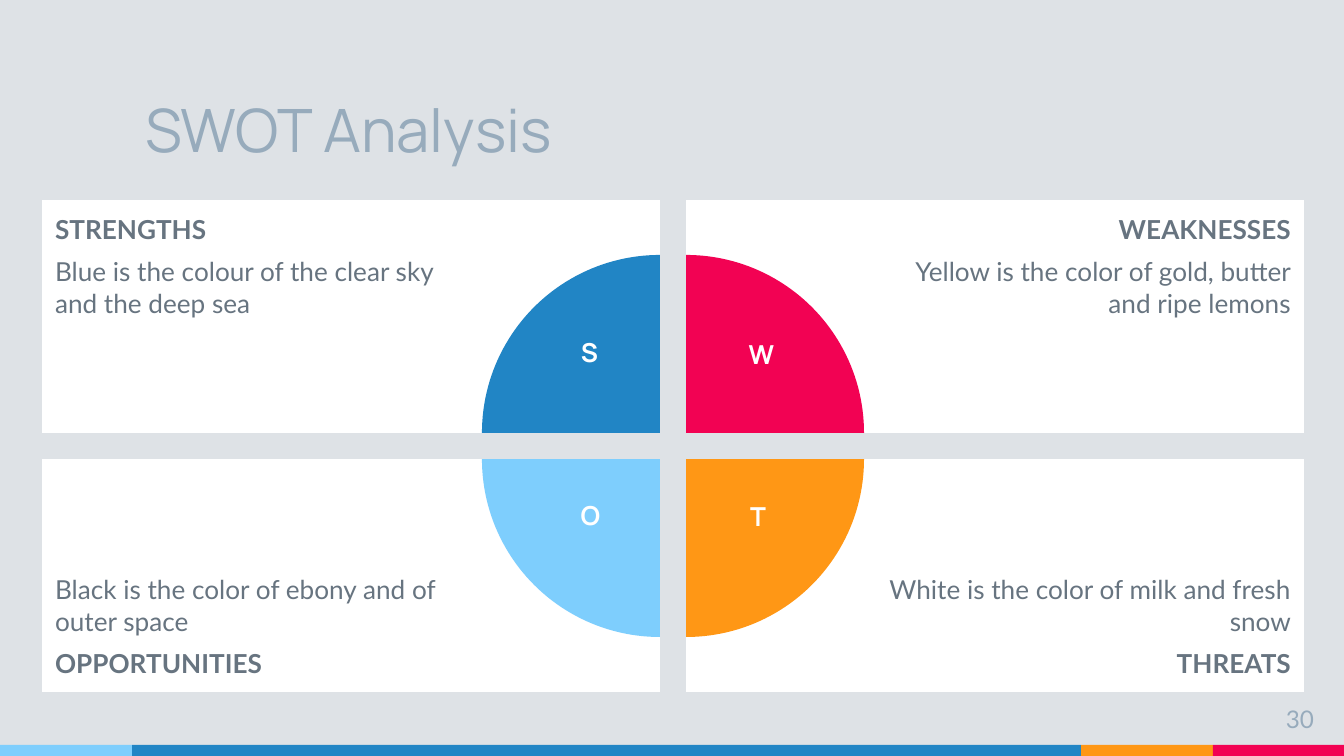
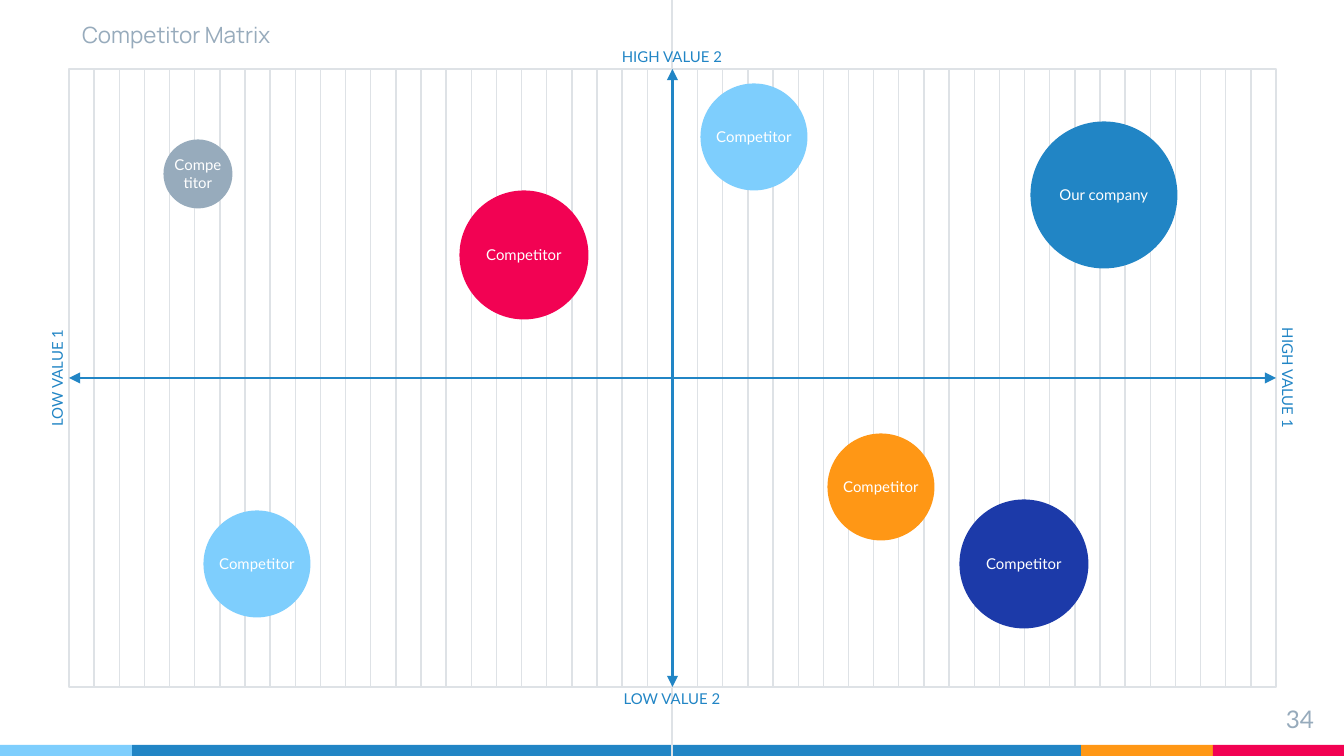
"""Build a SWOT analysis slide and a competitor matrix slide."""
import pptx
import pptx.dml.color
import pptx.enum.shapes
import pptx.enum.text
import pptx.oxml
import pptx.oxml.ns
import pptx.util

RGBColor = pptx.dml.color.RGBColor
SHAPE = pptx.enum.shapes.MSO_SHAPE
STRAIGHT = pptx.enum.shapes.MSO_CONNECTOR.STRAIGHT
ANCHOR = pptx.enum.text.MSO_ANCHOR
ALIGN = pptx.enum.text.PP_ALIGN
Pt = pptx.util.Pt

BLUE = RGBColor(0x21, 0x85, 0xC5)
SKY = RGBColor(0x7E, 0xCE, 0xFD)
ORANGE = RGBColor(0xFF, 0x97, 0x15)
RED = RGBColor(0xF2, 0x02, 0x53)
NAVY = RGBColor(0x1C, 0x3A, 0xA9)
STEEL = RGBColor(0x97, 0xAB, 0xBC)
SLATE = RGBColor(0x67, 0x74, 0x80)
MIST = RGBColor(0xDE, 0xE2, 0xE6)
WHITE = RGBColor(0xFF, 0xFF, 0xFF)

HEADING_FONT, BODY_FONT = "Manrope", "Lato"
WIDTH, HEIGHT = 1344, 756
PAD = 13

BANDS = [(SKY, 132), (BLUE, 949), (ORANGE, 132), (RED, 131)]
BAND_TOP = 745

SWOT_TITLE, SWOT_PAGE = "SWOT Analysis", "30"
QUADRANTS = [
    ("STRENGTHS", "Blue is the colour of the clear sky and the deep sea",
     0, 0, BLUE, 0, "S", (564, 329, 51, 66)),
    ("WEAKNESSES", "Yellow is the color of gold, butter and ripe lemons",
     1, 0, RED, 90, "W", (714, 331, 95, 65)),
    ("OPPORTUNITIES", "Black is the color of ebony and of outer space",
     0, 1, SKY, 270, "O", (559, 492, 63, 66)),
    ("THREATS", "White is the color of milk and fresh snow",
     1, 1, ORANGE, 180, "T", (731, 493, 54, 65)),
]
CARD_LEFT, CARD_TOP, CARD_WIDTH, CARD_HEIGHT, CARD_GAP = 42, 200, 618, 233, 26
CARD_INNER_PAD = 202
PIE_RADIUS = 178

MATRIX_TITLE, MATRIX_PAGE = "Competitor Matrix", "34"
FRAME = (69, 69, 1207, 618)
COLUMNS = 48
AXIS_LABELS = [
    ("LOW VALUE 1", 57, 378, 270),
    ("HIGH VALUE 1", 1288, 378, 90),
    ("LOW VALUE 2", 672, 699, 0),
    ("HIGH VALUE 2", 672, 57, 0),
]
LABEL_WIDTH, LABEL_HEIGHT = 190, 24
BUBBLES = [
    ("Our company", 1104, 195, 147, BLUE),
    ("Competitor", 524, 255, 129, RED),
    ("Competitor", 257, 564, 107, SKY),
    ("Competitor", 881, 487, 107, ORANGE),
    ("Competitor", 1024, 564, 129, NAVY),
    ("Competitor", 754, 137, 107, SKY),
    ("Competitor", 198, 174, 69, STEEL),
]


def px(*lengths):
    return [pptx.util.Emu(round(length * 914400 / 134.4)) for length in lengths]


def set_frame(frame, anchor, insets):
    frame.word_wrap = True
    frame.auto_size = pptx.enum.text.MSO_AUTO_SIZE.NONE
    frame.vertical_anchor = anchor
    (frame.margin_left, frame.margin_top,
     frame.margin_right, frame.margin_bottom) = px(*insets)


def style(paragraph, size, color, font=BODY_FONT, align=ALIGN.LEFT, bold=False):
    paragraph.alignment = align
    for run in paragraph.runs:
        run.font.name = font
        run.font.size = Pt(size)
        run.font.color.rgb = color
        run.font.bold = bold


def add_block(shapes, kind, box, fill, line=None):
    block = shapes.add_shape(kind, *px(*box))
    block.shadow.inherit = False
    block.fill.solid()
    block.fill.fore_color.rgb = fill
    if line is None:
        block.line.fill.background()
    else:
        block.line.color.rgb = line
        block.line.width = Pt(0.75)
    return block


def add_text(slide, text, box, insets, anchor=ANCHOR.TOP, **look):
    label = slide.shapes.add_textbox(*px(*box))
    set_frame(label.text_frame, anchor, insets)
    label.text_frame.text = text
    style(label.text_frame.paragraphs[0], **look)
    return label


def add_line(shapes, ends, color, weight, arrows=False):
    line = shapes.add_connector(STRAIGHT, *px(*ends))
    line.line.color.rgb = color
    line.line.width = Pt(weight)
    properties = line.element.spPr
    if arrows:
        for end in ("headEnd", "tailEnd"):
            properties.get_or_add_ln().append(pptx.oxml.parse_xml(
                f'<a:{end} {pptx.oxml.ns.nsdecls("a")} type="triangle"/>'))
    properties.append(pptx.oxml.parse_xml(
        f'<a:effectLst {pptx.oxml.ns.nsdecls("a")}/>'))
    return line


def add_slide(deck, background, title, title_box, title_size, anchor, page):
    slide = deck.slides.add_slide(deck.slide_layouts[5])
    slide.background.fill.solid()
    slide.background.fill.fore_color.rgb = background
    heading = slide.shapes.title
    heading.left, heading.top, heading.width, heading.height = px(*title_box)
    set_frame(heading.text_frame, anchor, [PAD] * 4)
    heading.text_frame.text = title
    style(heading.text_frame.paragraphs[0], title_size, STEEL, HEADING_FONT)
    add_text(slide, page, (1246, 691, 81, 46), [PAD] * 4,
             size=13, color=STEEL, align=ALIGN.RIGHT)
    return slide


def add_master_bands(deck, slide):
    left = 0
    for color, width in BANDS:
        band = add_block(slide.shapes, SHAPE.RECTANGLE,
                         (left, BAND_TOP, width, HEIGHT - BAND_TOP), color)
        deck.slide_master.shapes.element.append(band.element)
        left += width


def add_card(slide, name, description, column, row):
    left = CARD_LEFT + column * (CARD_WIDTH + CARD_GAP)
    top = CARD_TOP + row * (CARD_HEIGHT + CARD_GAP)
    card = add_block(slide.shapes, SHAPE.RECTANGLE,
                     (left, top, CARD_WIDTH, CARD_HEIGHT), WHITE)
    insets = [PAD, PAD, CARD_INNER_PAD, PAD]
    if column:
        insets = [CARD_INNER_PAD, PAD, PAD, PAD]
    set_frame(card.text_frame, ANCHOR.BOTTOM if row else ANCHOR.TOP, insets)
    lines = [description, name] if row else [name, description]
    card.text_frame.text = "\n".join(lines)
    for paragraph in card.text_frame.paragraphs:
        style(paragraph, 14, SLATE, align=ALIGN.RIGHT if column else ALIGN.LEFT,
              bold=paragraph.text == name)
    paragraph.space_before = paragraph.space_after = Pt(6)


def add_quarter(slide, column, row, color, rotation):
    center_x = CARD_LEFT + CARD_WIDTH + column * CARD_GAP
    center_y = CARD_TOP + CARD_HEIGHT + row * CARD_GAP
    quarter = add_block(slide.shapes, SHAPE.PIE,
                        (center_x - PIE_RADIUS, center_y - PIE_RADIUS,
                         2 * PIE_RADIUS, 2 * PIE_RADIUS), color)
    quarter.adjustments[0], quarter.adjustments[1] = 108, 162
    quarter.rotation = rotation


def build_swot(deck):
    slide = add_slide(deck, MIST, SWOT_TITLE, (132, 52, 950, 126), 32,
                      ANCHOR.BOTTOM, SWOT_PAGE)
    add_master_bands(deck, slide)
    for name, description, column, row, *_ in QUADRANTS:
        add_card(slide, name, description, column, row)
    for _, _, column, row, color, rotation, letter, letter_box in QUADRANTS:
        add_quarter(slide, column, row, color, rotation)
        add_text(slide, letter, letter_box, (PAD, 7, PAD, 7), size=14,
                 color=WHITE, font=HEADING_FONT, align=ALIGN.CENTER, bold=True)


def build_matrix(deck):
    slide = add_slide(deck, WHITE, MATRIX_TITLE, (69, 0, 1207, 69), 12,
                      ANCHOR.MIDDLE, MATRIX_PAGE)
    left, top, width, height = FRAME
    middle_x, middle_y = left + width / 2, top + height / 2
    field = add_block(slide.shapes, SHAPE.RECTANGLE, FRAME, WHITE, MIST)
    grid = slide.shapes.add_group_shape()
    for column in range(1, COLUMNS):
        if column != COLUMNS // 2:
            x = left + column * width / COLUMNS
            add_line(grid.shapes, (x, top, x, top + height), MIST, 0.75)
    add_line(slide.shapes, (WIDTH / 2, 0, WIDTH / 2, HEIGHT), MIST, 0.75)

    axes = [((middle_x, top, middle_x, top + height), 0, 2),
            ((left, middle_y, left + width, middle_y), 1, 3)]
    for ends, start_side, end_side in axes:
        axis = add_line(slide.shapes, ends, BLUE, 1.5, arrows=True)
        axis.begin_connect(field, start_side)
        axis.end_connect(field, end_side)

    for text, x, y, rotation in AXIS_LABELS:
        label = add_text(slide, text,
                         (x - LABEL_WIDTH / 2, y - LABEL_HEIGHT / 2,
                          LABEL_WIDTH, LABEL_HEIGHT), [0] * 4, ANCHOR.MIDDLE,
                         size=8, color=BLUE, align=ALIGN.CENTER)
        label.rotation = rotation

    for company, x, y, diameter, color in BUBBLES:
        bubble = add_block(slide.shapes, SHAPE.OVAL,
                           (x - diameter / 2, y - diameter / 2, diameter, diameter),
                           color)
        set_frame(bubble.text_frame, ANCHOR.MIDDLE, [0] * 4)
        bubble.text_frame.text = company
        style(bubble.text_frame.paragraphs[0], 8, WHITE, align=ALIGN.CENTER)


def main():
    deck = pptx.Presentation()
    deck.slide_width, deck.slide_height = px(WIDTH, HEIGHT)
    build_swot(deck)
    build_matrix(deck)
    deck.save("out.pptx")


if __name__ == "__main__":
    main()
